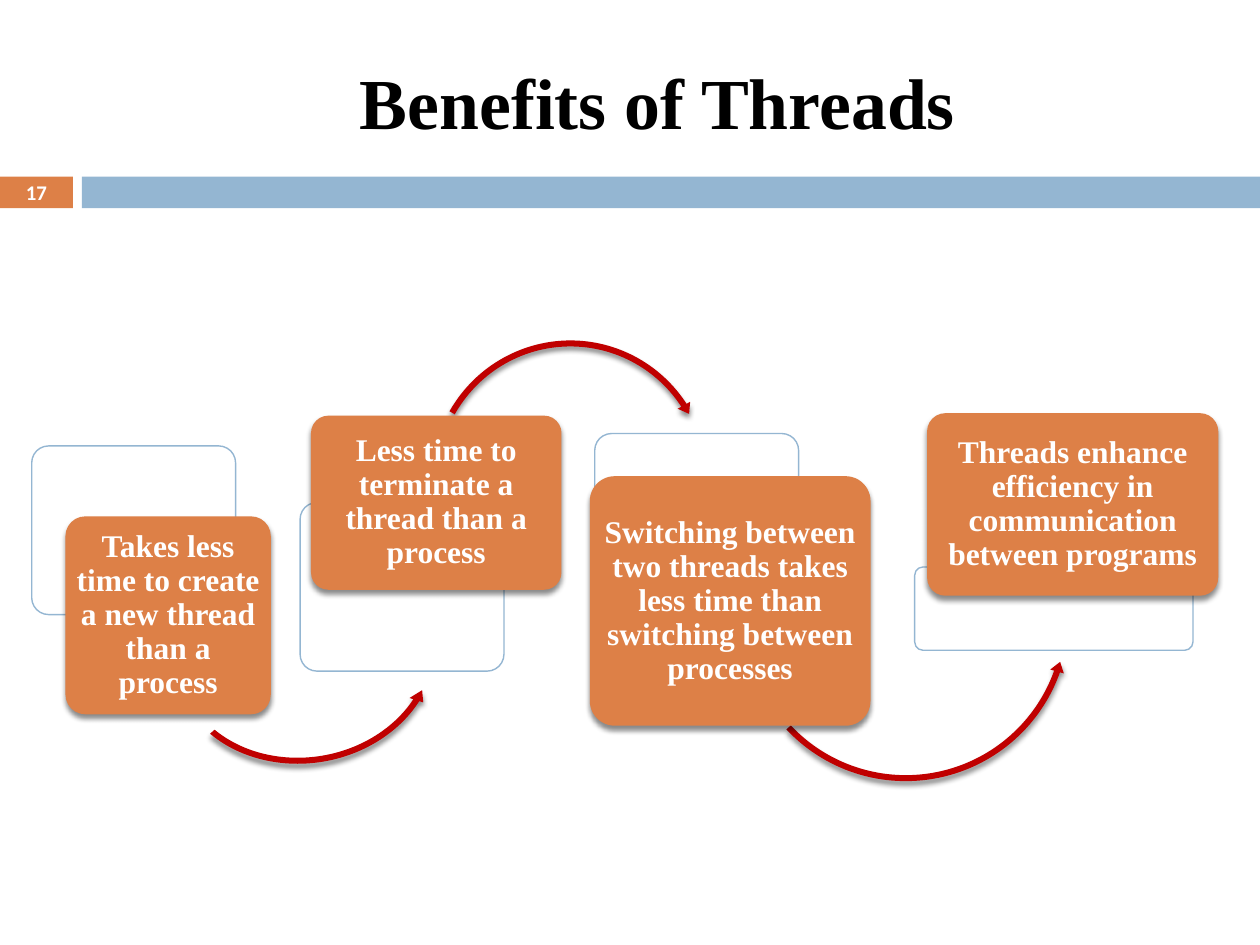
from lxml import etree
from pptx import Presentation
from pptx import util as u
from pptx.dml.color import RGBColor
from pptx.enum import shapes, text
from pptx.oxml.ns import qn

KIND = shapes.MSO_SHAPE


def color(value):
    return RGBColor.from_string(value)


def add_alpha(parent, percent):
    etree.SubElement(parent, qn("a:alpha"), val=str(percent * 1000))


def write(shape, content, size=18, font="Times New Roman", ink="FFFFFF", spacing=1.0, insets=(0.1, 0.08)):
    frame = shape.text_frame
    frame.word_wrap = True
    frame.vertical_anchor = text.MSO_ANCHOR.MIDDLE
    frame.margin_left = frame.margin_right = u.Cm(insets[0])
    frame.margin_top = frame.margin_bottom = u.Cm(insets[1])
    para = frame.paragraphs[0]
    para.alignment = text.PP_ALIGN.CENTER
    para.line_spacing = spacing
    span = para.add_run()
    span.text = content
    span.font.size = u.Pt(size)
    span.font.name = font
    span.font.bold = True
    span.font.color.rgb = color(ink)


class Slide:
    orange, blue, red, white = "DD8047", "94B6D2", "C00000", "FFFFFF"

    def __init__(self, deck):
        self.page = deck.slides.add_slide(deck.slide_layouts[6])

    def shape(self, kind, place, fill):
        shape = self.page.shapes.add_shape(kind, *map(u.Cm, place))
        shape.shadow.inherit = False
        shape.fill.solid()
        shape.fill.fore_color.rgb = color(fill)
        shape.line.fill.background()
        return shape

    def cast_shadow(self, shape):
        effects = shape._element.spPr.find(qn("a:effectLst"))
        shadow = etree.SubElement(effects, qn("a:outerShdw"), blurRad=str(u.Pt(3)),
                                  dist=str(u.Pt(2.4)), dir="5400000", rotWithShape="0")
        add_alpha(etree.SubElement(shadow, qn("a:srgbClr"), val="000000"), 45)

    def title(self, content, place):
        box = self.page.shapes.add_textbox(*map(u.Cm, place))
        write(box, content, size=41, ink="000000", insets=(0.25, 0.13))

    def bar(self, place, fill):
        return self.shape(KIND.RECTANGLE, place, fill)

    def frame(self, place):
        shape = self.shape(KIND.ROUNDED_RECTANGLE, place, self.white)
        shape.adjustments[0] = 0.1
        add_alpha(shape._element.spPr.find(".//" + qn("a:srgbClr")), 90)
        shape.line.color.rgb = color(self.blue)
        shape.line.width = u.Pt(0.79)

    def arrow(self, kind, place, rotation, thickness, angles, head):
        shape = self.shape(kind, place, self.red)
        shape.rotation = rotation
        degrees = [angle * 0.6 for angle in angles]
        for index, value in enumerate([thickness, *degrees, head]):
            shape.adjustments[index] = value
        self.cast_shadow(shape)

    def card(self, content, place):
        shape = self.shape(KIND.ROUNDED_RECTANGLE, place, self.orange)
        shape.adjustments[0] = 0.1
        self.cast_shadow(shape)
        write(shape, content, spacing=0.9)


BENEFITS = [
    ("Takes less time to create a new thread than a process",
     (0.64, 8.99, 4.11, 3.4), (1.32, 10.41, 4.14, 3.99),
     (KIND.LEFT_CIRCULAR_ARROW, (3.4, 10.8, 5.49, 4.67), 350.4, 0.026, (5.33, 33.17, 148.65), 0.031)),
    ("Less time to terminate a thread than a process",
     (6.05, 10.13, 4.11, 3.4), (6.27, 8.38, 5.05, 3.51),
     (KIND.CIRCULAR_ARROW, (8.61, 6.78, 5.77, 5.82), 4.8, 0.021, (4.22, 321.67, 205.07), 0.025)),
    ("Switching between two threads takes less time than switching between processes",
     (11.99, 8.74, 4.11, 3.4), (11.89, 9.6, 5.66, 5.03),
     (KIND.LEFT_CIRCULAR_ARROW, (14.88, 9.07, 6.76, 6.76), 346.1, 0.018, (3.62, 33.53, 150.73), 0.021)),
    ("Threads enhance efficiency in communication between programs",
     (18.44, 11.43, 5.61, 1.68), (18.69, 8.33, 5.87, 3.68), None),
]


def main():
    deck = Presentation()
    deck.slide_width, deck.slide_height = u.Cm(25.4), u.Cm(19.05)
    slide = Slide(deck)
    number = slide.bar((0, 3.56, 1.47, 0.64), slide.orange)
    write(number, "17", size=11.9, font="Calibri", insets=(0, 0))
    slide.bar((1.65, 3.56, 23.75, 0.64), slide.blue)
    slide.title("Benefits of Threads", (2.39, 0.64, 21.74, 2.77))
    for content, frame, card, arrow in BENEFITS:
        slide.frame(frame)
        if arrow:
            slide.arrow(*arrow)
        slide.card(content, card)
    deck.save("out.pptx")


if __name__ == "__main__":
    main()
